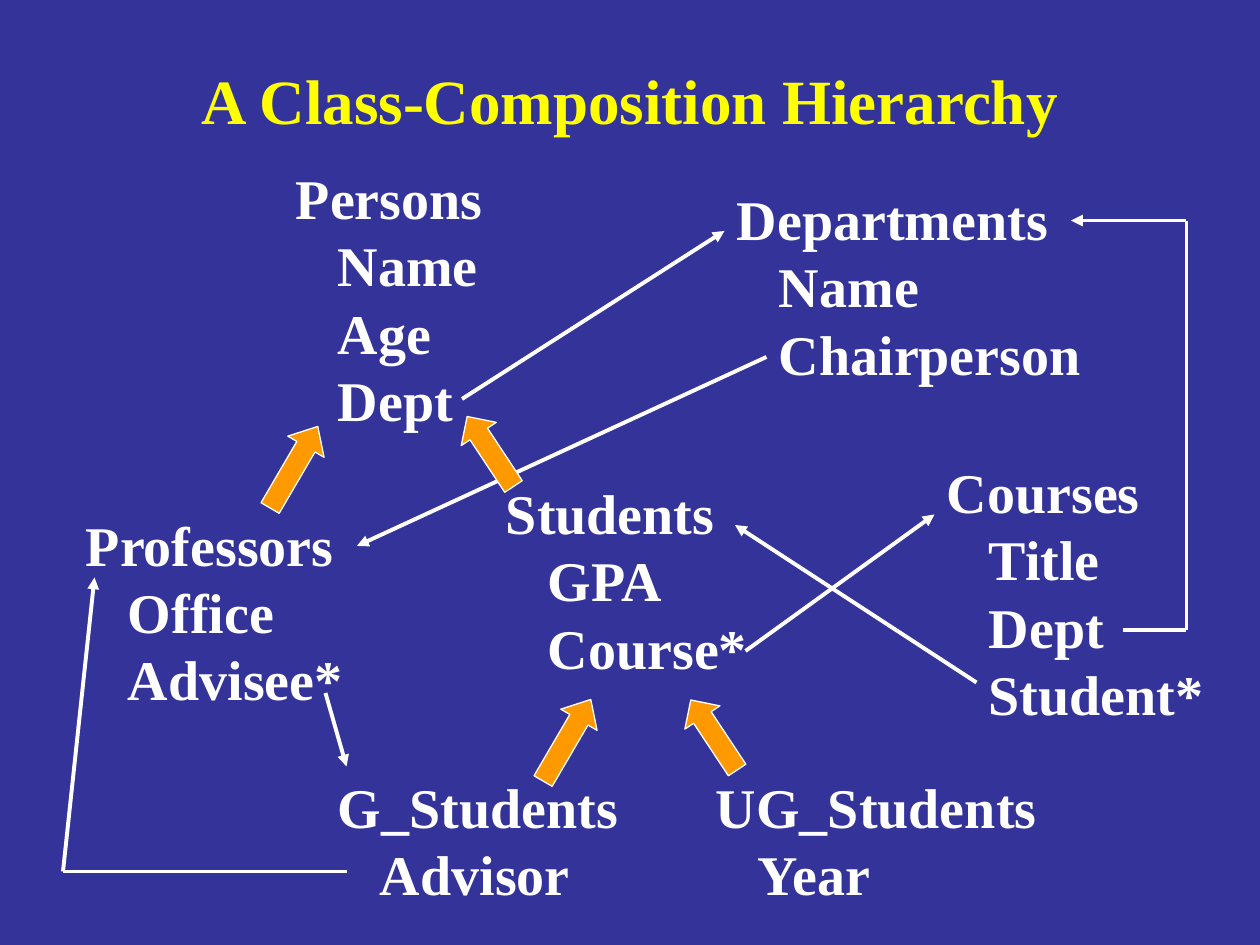
from pptx import Presentation
from pptx.dml.color import RGBColor
from pptx.enum.shapes import MSO_CONNECTOR, MSO_SHAPE
from pptx.enum.text import MSO_ANCHOR, MSO_AUTO_SIZE, PP_ALIGN
from pptx.oxml.ns import qn
from pptx.util import Pt
from lxml.etree import SubElement

EMU_PER_PX = 7620  # 120 px to the inch
COLORS = {"background": "333399", "title": "FFFF00", "text": "FFFFFF",
          "line": "FFFFFF", "inheritance": "FF9900"}
FONT = "Times New Roman"

# left, top, width, height, class name, attributes
CLASSES = [
    (270, 150, 206, 269, "Persons", ["Name", "Age", "Dept"]),
    (690, 170, 356, 204, "Departments", ["Name", "Chairperson"]),
    (70, 480, 275, 204, "Professors", ["Office", "Advisee*"]),
    (470, 450, 258, 204, "Students", ["GPA", "Course*"]),
    (890, 430, 274, 269, "Courses", ["Title", "Dept", "Student*"]),
    (310, 730, 296, 140, "G_Students", ["Advisor"]),
    (670, 730, 335, 140, "UG_Students", ["Year"]),
]
# each route runs through its points and ends in an arrowhead
REFERENCES = [
    [(310, 660), (330, 730)],
    [(330, 830), (60, 830), (90, 550)],
    [(710, 620), (890, 490)],
    [(1070, 600), (1130, 600), (1130, 210), (1020, 210)],
    [(440, 380), (690, 220)],
    [(930, 650), (700, 500)],
    [(730, 340), (340, 520)],
]
# left, top, height, rotation, head length relative to width
INHERITANCE = [
    (260, 400, 90, 30.3, 0.56),
    (447, 390, 80, 326.5, 0.5),
    (520, 660, 90, 30.3, 0.56),
    (660, 660, 80, 326.5, 0.5),
]


def px(length):
    return round(length * EMU_PER_PX)


def rgb(name):
    return RGBColor.from_string(COLORS[name])


def write(paragraph, text, *, size, color, indent=0, align=PP_ALIGN.LEFT, spacing=None):
    paragraph.text = text
    paragraph.alignment = align
    if spacing:
        paragraph.line_spacing = Pt(spacing)
    if indent:
        paragraph._p.get_or_add_pPr().set("marL", str(px(indent)))
    font = paragraph.font
    font.name, font.size, font.bold = FONT, Pt(size), True
    font.color.rgb = rgb(color)


class Diagram:
    """Holds the current slide and draws the parts of a class diagram on it."""

    def __init__(self, slide):
        self.slide = slide
        self.line_width = Pt(2.25)
        self.text_size = 32
        self.line_spacing = 38.4
        self.attribute_indent = 40
        fill = slide.background.fill
        fill.solid()
        fill.fore_color.rgb = rgb("background")

    def title(self, text, left, top, width, height):
        shape = self.slide.shapes.title
        shape.left, shape.top = px(left), px(top)
        shape.width, shape.height = px(width), px(height)
        frame = shape.text_frame
        frame.auto_size = MSO_AUTO_SIZE.NONE
        frame.vertical_anchor = MSO_ANCHOR.MIDDLE
        write(frame.paragraphs[0], text, size=36, color="title", align=PP_ALIGN.CENTER)

    def class_box(self, left, top, width, height, name, attributes):
        shape = self.slide.shapes.add_textbox(px(left), px(top), px(width), px(height))
        frame = shape.text_frame
        frame.word_wrap = True
        frame.auto_size = MSO_AUTO_SIZE.NONE
        style = dict(size=self.text_size, color="text", spacing=self.line_spacing)
        write(frame.paragraphs[0], name, **style)
        for attribute in attributes:
            write(frame.add_paragraph(), attribute, indent=self.attribute_indent, **style)

    def segment(self, start, end, arrow):
        connector = self.slide.shapes.add_connector(
            MSO_CONNECTOR.STRAIGHT, *map(px, start + end))
        connector.line.color.rgb = rgb("line")
        connector.line.width = self.line_width
        properties = connector._element.spPr
        if arrow:
            SubElement(properties.find(qn("a:ln")), qn("a:tailEnd"), type="triangle")
        SubElement(properties, qn("a:effectLst"))

    def reference(self, points):
        last = len(points) - 1
        for index in range(last):
            self.segment(points[index], points[index + 1], arrow=index + 1 == last)

    def inheritance(self, left, top, height, rotation, head):
        shape = self.slide.shapes.add_shape(
            MSO_SHAPE.UP_ARROW, px(left), px(top), px(40), px(height))
        shape.rotation = rotation
        shape.adjustments[1] = head
        shape.shadow.inherit = False
        shape.fill.solid()
        shape.fill.fore_color.rgb = rgb("inheritance")
        shape.line.color.rgb = rgb("line")
        shape.line.width = Pt(0.75)


def main():
    presentation = Presentation()
    presentation.slide_width, presentation.slide_height = px(1200), px(900)
    title_only = presentation.slide_layouts[5]
    diagram = Diagram(presentation.slides.add_slide(title_only))
    diagram.title("A Class-Composition Hierarchy", 90, 50, 1020, 90)
    for class_box in CLASSES:
        diagram.class_box(*class_box)
    for points in REFERENCES:
        diagram.reference(points)
    for arrow in INHERITANCE:
        diagram.inheritance(*arrow)
    presentation.save("out.pptx")


if __name__ == "__main__":
    main()
